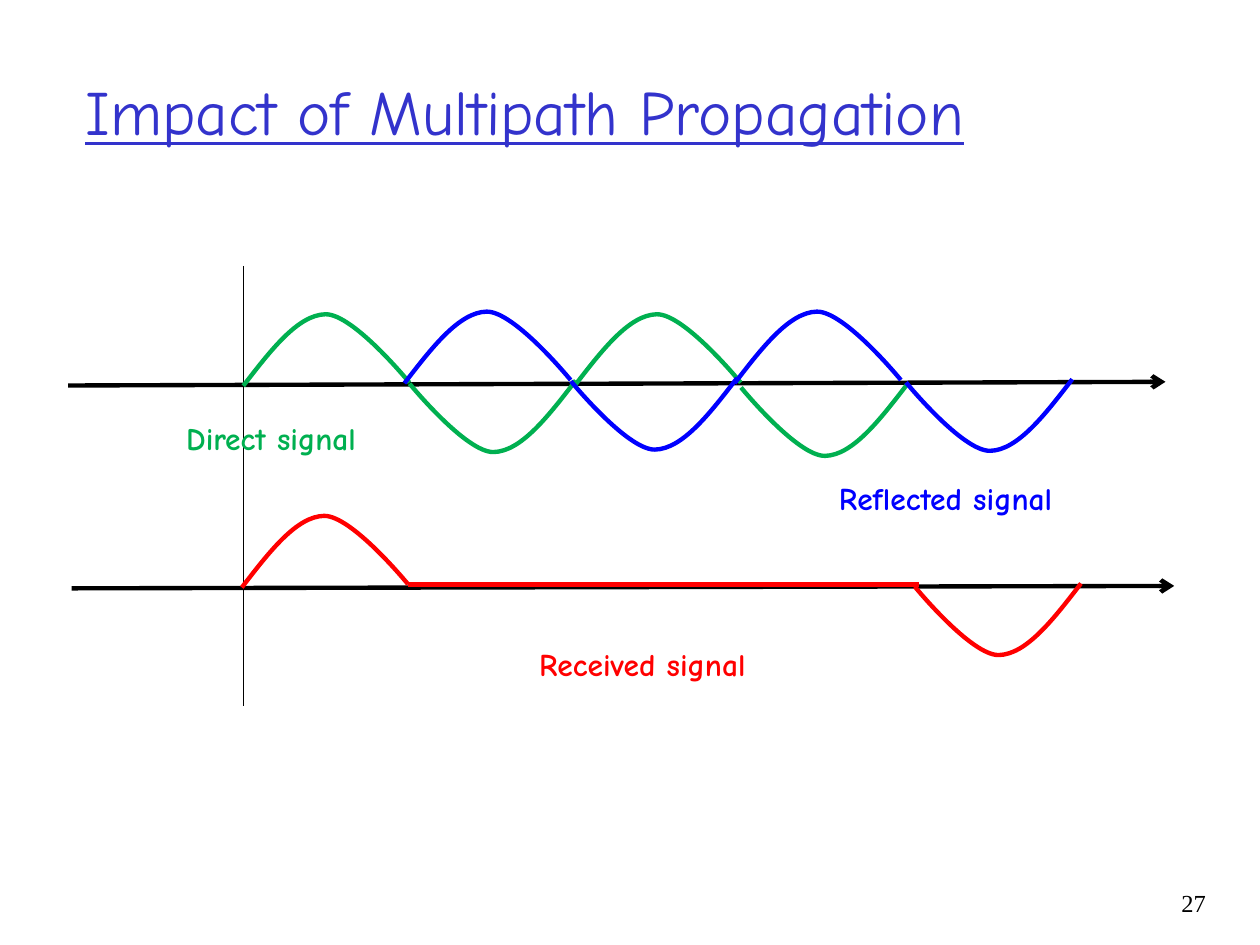
from lxml import etree
from pptx import Presentation
from pptx.dml.color import RGBColor
from pptx.enum import shapes, text
from pptx.oxml.ns import qn
from pptx.util import Pt

BLACK, TITLE, GREEN, BLUE, RED = "000000", "3333CC", "00B050", "0000FF", "FF0000"
COMIC, TIMES = "Comic Neue", "Times New Roman"

# Texts: wording, box (left, top, width, height), font, size, colour
TITLE_TEXT = ("Impact of Multipath Propagation", (41.76, 18, 612, 90), COMIC, 36, TITLE)
PAGE_NUMBER = ("27", (642.96, 504, 53.28, 36), TIMES, 14, BLACK)
LABELS = [
    ("Direct signal", (99.36, 236.16, 139.68, 28.8), COMIC, 18, GREEN),
    ("Reflected signal", (472.32, 270, 169.2, 28.8), COMIC, 18, BLUE),
    ("Received signal", (300.96, 365.04, 161.28, 28.8), COMIC, 18, RED),
]

# Lines: start, end, colour, width, arrowhead
AXES = [
    ((38.9, 220.3), (666, 218.2), BLACK, 2.5, True),
    ((41, 336.2), (671, 334.8), BLACK, 2.5, True),
    ((138.96, 151.9), (138.96, 403.2), BLACK, 0.75, False),
]
CANCELLED = ((233.3, 334.1), (524.9, 334.1), RED, 2.5, False)

# Half waves: left, top, whether it is a trough
WAVES = {
    GREEN: [(139, 179.3, False), (234, 217.4, True), (328.3, 179.3, False), (423.4, 219.6, True)],
    BLUE: [(231.1, 177.8, False), (326.2, 216, True), (419.8, 177.8, False), (517.7, 216.7, True)],
    RED: [(138.2, 294.5, False), (522.7, 333.4, True)],
}
# Start of a crest, then two cubic curves of three points each
CREST = [(0, 41.2), (15.6, 21), (31.2, 0.6), (47, 0.3), (62.8, 0), (95, 39.4), (95, 39.4)]


def rgb(color):
    return RGBColor.from_string(color)


def add_text(s, wording, box, font, size, color):
    sp = s.shapes.add_textbox(*map(Pt, box))
    tf = sp.text_frame
    tf.word_wrap = True
    tf.text = wording
    f = tf.paragraphs[0].runs[0].font
    f.name, f.size, f.color.rgb = font, Pt(size), rgb(color)
    return tf


def add_line(s, start, end, color, width, arrow):
    c = s.shapes.add_connector(shapes.MSO_CONNECTOR.STRAIGHT, *map(Pt, start + end))
    c.line.color.rgb, c.line.width = rgb(color), Pt(width)
    if arrow:
        etree.SubElement(c.line._get_or_add_ln(), qn("a:tailEnd"), type="arrow")
    etree.SubElement(c._element.spPr, qn("a:effectLst"))


def add_half_wave(s, left, top, trough, color):
    points = [(Pt(left + x), Pt(top + y)) for x, y in CREST]
    builder = s.shapes.build_freeform(*points[0])
    builder.add_line_segments(points[1:], close=False)
    sp = builder.convert_to_shape()
    sp.shadow.inherit = False
    sp.fill.background()
    sp.line.color.rgb, sp.line.width = rgb(color), Pt(2.5)
    sp.rotation = 180 if trough else 0
    # Turn each three line segments into one cubic curve
    segments = list(sp._element.iter(qn("a:lnTo")))
    outline = segments[0].getparent()
    for i in range(0, len(segments), 3):
        curve = etree.SubElement(outline, qn("a:cubicBezTo"))
        for segment in segments[i:i + 3]:
            curve.append(segment[0])
            outline.remove(segment)


prs = Presentation()
prs.slide_width, prs.slide_height = Pt(720), Pt(540)
s = prs.slides.add_slide(prs.slide_layouts[6])

# Page number and title
tf = add_text(s, *PAGE_NUMBER)
tf.paragraphs[0].alignment = text.PP_ALIGN.RIGHT
tf = add_text(s, *TITLE_TEXT)
tf.vertical_anchor = text.MSO_ANCHOR.MIDDLE
tf.paragraphs[0].runs[0].font.underline = True

# Axes, signals and the stretch where they cancel out
for axis in AXES:
    add_line(s, *axis)
for color, halves in WAVES.items():
    for half in halves:
        add_half_wave(s, *half, color)
add_line(s, *CANCELLED)

# Signal labels
for label in LABELS:
    tf = add_text(s, *label)
    tf.auto_size = text.MSO_AUTO_SIZE.SHAPE_TO_FIT_TEXT
    tf.paragraphs[0].runs[0].font.bold = True

prs.save("out.pptx")
